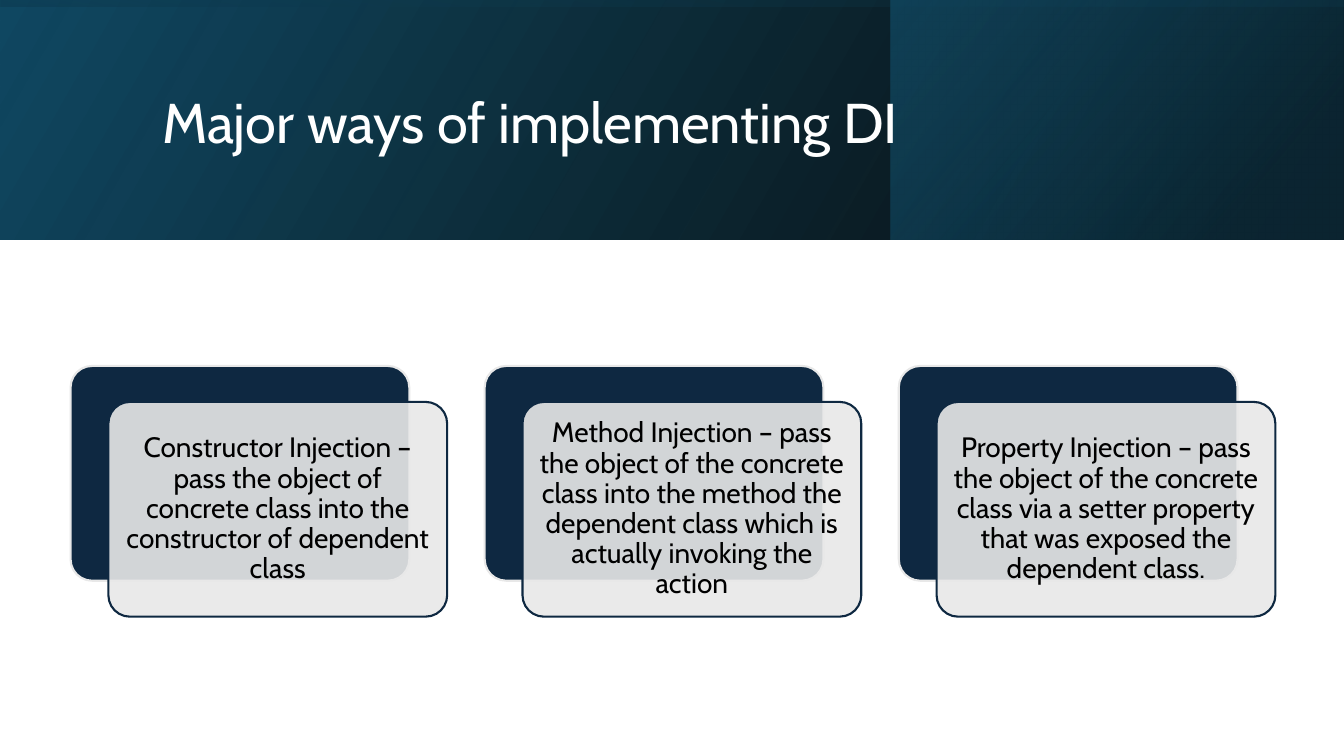
import pptx
import pptx.dml.color
import pptx.enum.shapes
import pptx.enum.text
import pptx.util
from lxml import etree
from pptx.oxml.ns import qn

Pt = pptx.util.Pt
RGBColor = pptx.dml.color.RGBColor
SHAPE = pptx.enum.shapes.MSO_SHAPE
ALIGN = pptx.enum.text.PP_ALIGN

BLACK = RGBColor(0x00, 0x00, 0x00)
WHITE = RGBColor(0xFF, 0xFF, 0xFF)
OCEAN = RGBColor(0x10, 0x48, 0x62)
DEEP = RGBColor(0x0B, 0x30, 0x41)
TEAL = RGBColor(0x15, 0x60, 0x82)
NAVY = RGBColor(0x0E, 0x28, 0x41)
SILVER = RGBColor(0xE8, 0xE8, 0xE8)


def set_alpha(fill_element, percents):
    colors = fill_element.iter(qn("a:srgbClr"))
    for color, percent in zip(colors, percents):
        etree.SubElement(color, qn("a:alpha")).set("val", str(percent * 1000))


def write_text(box, text, size, color, align=ALIGN.LEFT, margins=(7.2, 3.6)):
    frame = box.text_frame
    frame.word_wrap = True
    frame.vertical_anchor = pptx.enum.text.MSO_ANCHOR.MIDDLE
    frame.margin_left = frame.margin_right = Pt(margins[0])
    frame.margin_top = frame.margin_bottom = Pt(margins[1])
    para = frame.paragraphs[0]
    para.alignment = align
    para.line_spacing = 0.9
    span = para.add_run()
    span.text = text
    span.font.name = "Cabin"
    span.font.size = Pt(size)
    span.font.color.rgb = color


deck = pptx.Presentation()
deck.slide_width, deck.slide_height = Pt(960), Pt(540)
page = deck.slides.add_slide(deck.slide_layouts[6])

# Header band: three layered gradients (position, rotation, angle, stops)
BAND_HEIGHT = 171
layers = [
    ((0, 0, 960, BAND_HEIGHT), 0, 30, [(0, BLACK, 96), (1, OCEAN, 100)]),
    ((636.5, 0, 323, BAND_HEIGHT), 0, 40, [(0.19, DEEP, 68), (1, TEAL, 48)]),
    ((394.5, -394.5, BAND_HEIGHT, 960), 270, 10, [(0.23, OCEAN, 16), (0.99, BLACK, 45)]),
]
layers[0][3][0] = (0, BLACK, 96)
for position, rotation, angle, stops in layers:
    band = page.shapes.add_shape(SHAPE.RECTANGLE, *map(Pt, position))
    band.shadow.inherit = False
    band.rotation = rotation
    band.element.spPr.find(qn("a:xfrm")).set("flipH", "1")
    band.line.fill.background()
    band.fill.gradient()
    band.fill.gradient_angle = angle
    for stop, (place, color, _) in zip(band.fill.gradient_stops, stops):
        stop.position = place
        stop.color.rgb = color
    gradient = band.element.spPr.find(qn("a:gradFill"))
    set_alpha(gradient, [opacity for _, _, opacity in stops])

# Title
title = page.shapes.add_textbox(Pt(108.7), Pt(27.4), Pt(765.4), Pt(123.8))
write_text(title, "Major ways of implementing DI", 40, WHITE)

# Cards: a navy plate behind a translucent panel
CARD_LEFT, CARD_TOP, CARD_STEP = 50.4, 261.4, 295.8
CARD_WIDTH, CARD_HEIGHT = 242, 153.4
PANEL_SHIFT = (27, 25.7)
methods = [
    "Constructor Injection – pass the object of concrete class into the constructor of dependent class",
    "Method Injection – pass the object of the concrete class into the method the dependent class which is actually invoking the action",
    "Property Injection – pass the object of the concrete class via a setter property that was exposed the dependent class.",
]
for index, method in enumerate(methods):
    left = CARD_LEFT + index * CARD_STEP
    for shift_x, shift_y, fill, line in [(0, 0, NAVY, SILVER), (*PANEL_SHIFT, SILVER, NAVY)]:
        panel = page.shapes.add_shape(
            SHAPE.ROUNDED_RECTANGLE, Pt(left + shift_x), Pt(CARD_TOP + shift_y),
            Pt(CARD_WIDTH), Pt(CARD_HEIGHT))
        panel.shadow.inherit = False
        panel.adjustments[0] = 0.1
        panel.fill.solid()
        panel.fill.fore_color.rgb = fill
        panel.line.color.rgb = line
        panel.line.width = Pt(1.5)
    set_alpha(panel.element.spPr.find(qn("a:solidFill")), [90])
    write_text(panel, method, 20, BLACK, align=ALIGN.CENTER, margins=(6, 6))

deck.save("out.pptx")
